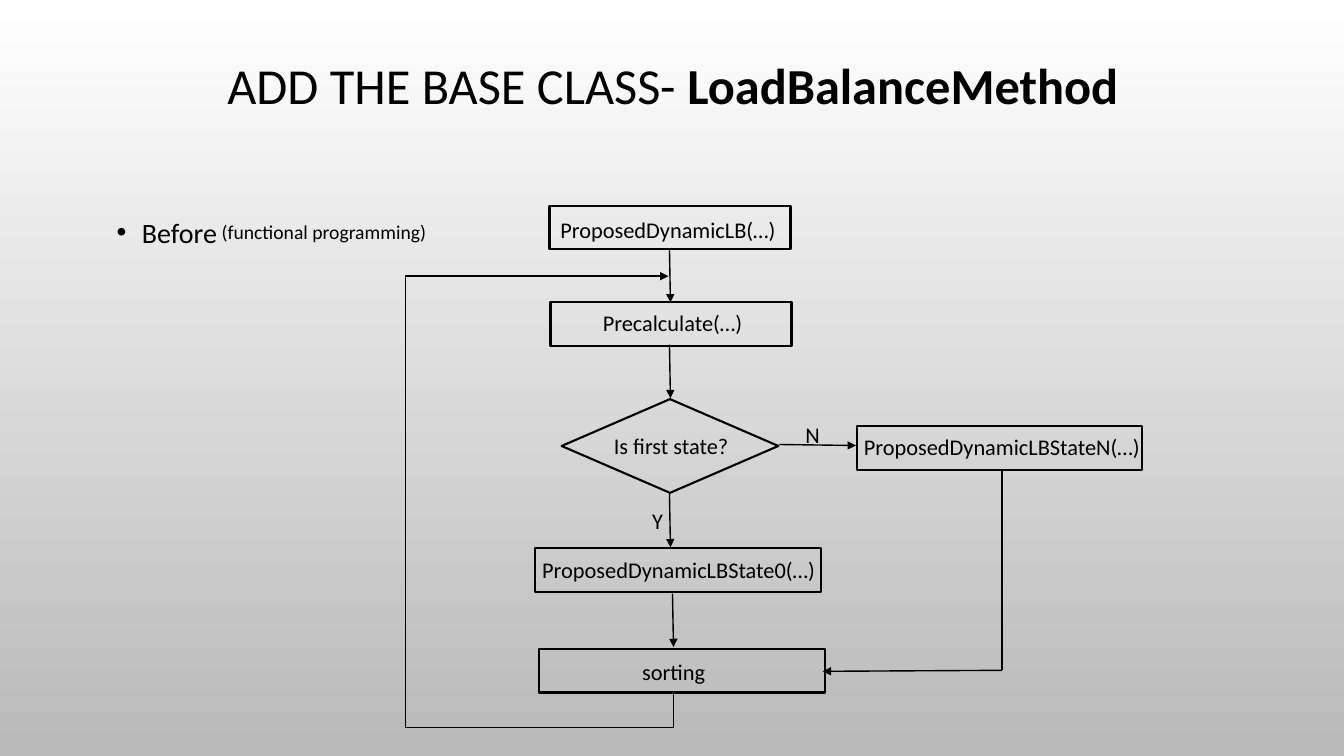
from dataclasses import dataclass

from lxml.etree import SubElement
from pptx import Presentation
from pptx.dml.color import RGBColor
from pptx.enum.shapes import MSO_CONNECTOR, MSO_SHAPE
from pptx.enum.text import MSO_ANCHOR, MSO_AUTO_SIZE, PP_ALIGN
from pptx.oxml.ns import qn
from pptx.slide import Slide
from pptx.text.text import _Paragraph as Paragraph
from pptx.util import Inches, Pt


@dataclass(frozen=True)
class Theme:
    font: str = "Calibri"
    ink: RGBColor = RGBColor(0x00, 0x00, 0x00)
    top: RGBColor = RGBColor(0xFF, 0xFF, 0xFF)
    bottom: RGBColor = RGBColor(0xB9, 0xB9, 0xB9)
    title_size: float = 36
    body_size: float = 20
    label_size: float = 16
    note_size: float = 14
    outline: float = 1.5
    arrow: float = 1


@dataclass(frozen=True)
class Frame:
    left: float
    top: float
    width: float
    height: float


@dataclass(frozen=True)
class Node:
    frame: Frame
    shape: MSO_SHAPE = MSO_SHAPE.FLOWCHART_PROCESS


@dataclass(frozen=True)
class Label:
    text: str
    frame: Frame
    size: float


@dataclass(frozen=True)
class Link:
    start: tuple[float, float]
    end: tuple[float, float]
    arrow: bool = True


THEME = Theme()
BOX_HEIGHT = 0.43
LABEL_HEIGHT = 0.37
NARROW, WIDE = 2.39, 2.83
STEP = 0.53
LOOP_LEFT, LOOP_TOP, LOOP_BOTTOM = 4.02, 2.74, 7.22
BRANCH_X, SORT_X = 9.94, 6.68

NODES = [
    Node(Frame(5.45, 2.04, NARROW, BOX_HEIGHT)),
    Node(Frame(5.46, 3, NARROW, BOX_HEIGHT)),
    Node(Frame(5.57, 3.96, 2.15, 0.93), MSO_SHAPE.FLOWCHART_DECISION),
    Node(Frame(5.31, 5.44, WIDE, BOX_HEIGHT)),
    Node(Frame(8.5, 4.23, WIDE, BOX_HEIGHT)),
    Node(Frame(5.35, 6.44, WIDE, BOX_HEIGHT)),
]

LABELS = [
    Label(text, Frame(left, top, width, LABEL_HEIGHT), THEME.label_size)
    for text, left, top, width in [
        ("ProposedDynamicLB(…)", 5.46, 2.1, 2.35),
        ("Precalculate(…)", 5.88, 3.02, 1.81),
        ("Is first state?", 5.99, 4.24, 1.36),
        ("Y", 6.37, 4.98, 0.26),
        ("N", 7.89, 4.13, 0.26),
        ("ProposedDynamicLBState0(…)", 5.28, 5.47, 2.94),
        ("ProposedDynamicLBStateN(…)", 8.47, 4.25, 2.94),
        ("sorting", 6.27, 6.48, 0.92),
    ]
] + [Label("(functional programming)", Frame(2.1, 2.13, 2.63, 0.34), THEME.note_size)]

DOWN_ARROWS = [
    Link((x, y), (x + 0.01, y + STEP))
    for x, y in [(6.64, 2.47), (6.64, 3.42), (6.64, 4.9), (6.67, 5.89)]
]
BRANCH = [
    Link((7.73, 4.41), (8.49, 4.42)),
    Link((BRANCH_X, 4.66), (BRANCH_X, 6.65), arrow=False),
    Link((BRANCH_X, 6.65), (8.16, 6.66)),
]
LOOP = [
    Link((SORT_X, 6.87), (SORT_X, LOOP_BOTTOM), arrow=False),
    Link((LOOP_LEFT, LOOP_BOTTOM), (SORT_X, LOOP_BOTTOM), arrow=False),
    Link((LOOP_LEFT, LOOP_TOP), (LOOP_LEFT, LOOP_BOTTOM), arrow=False),
    Link((LOOP_LEFT, LOOP_TOP), (6.63, LOOP_TOP)),
]


def place(frame: Frame) -> tuple[int, int, int, int]:
    """Return the frame as left, top, width and height for python-pptx."""
    return Inches(frame.left), Inches(frame.top), Inches(frame.width), Inches(frame.height)


def add_span(para: Paragraph, text: str, *, size: float, bold: bool = False) -> None:
    span = para.add_run()
    span.text = text
    span.font.name = THEME.font
    span.font.size = Pt(size)
    span.font.bold = bold
    span.font.color.rgb = THEME.ink


def add_text(
    page: Slide,
    text: str,
    frame: Frame,
    *,
    size: float,
    align: PP_ALIGN = PP_ALIGN.LEFT,
    anchor: MSO_ANCHOR = MSO_ANCHOR.TOP,
    fit: MSO_AUTO_SIZE = MSO_AUTO_SIZE.NONE,
    line_spacing: float = 1.0,
    space_before: float = 0,
) -> Paragraph:
    """Add a text box and return its paragraph for further spans."""
    body = page.shapes.add_textbox(*place(frame)).text_frame
    body.word_wrap = True
    body.auto_size = fit
    body.vertical_anchor = anchor
    para = body.paragraphs[0]
    para.alignment = align
    para.line_spacing = line_spacing
    para.space_before = Pt(space_before)
    add_span(para, text, size=size)
    return para


def add_bullet(para: Paragraph, indent: float) -> None:
    properties = para._p.get_or_add_pPr()
    properties.set("marL", str(Inches(indent)))
    properties.set("indent", str(-Inches(indent)))
    SubElement(properties, qn("a:buFont"), typeface="Arial")
    SubElement(properties, qn("a:buChar"), char="•")


def add_node(page: Slide, node: Node) -> None:
    box = page.shapes.add_shape(node.shape, *place(node.frame))
    box.shadow.inherit = False
    box.fill.background()
    box.line.color.rgb = THEME.ink
    box.line.width = Pt(THEME.outline)


def add_link(page: Slide, link: Link) -> None:
    points = [Inches(value) for value in (*link.start, *link.end)]
    connector = page.shapes.add_connector(MSO_CONNECTOR.STRAIGHT, *points)
    connector.line.color.rgb = THEME.ink
    connector.line.width = Pt(THEME.arrow)
    if link.arrow:
        SubElement(connector.line._get_or_add_ln(), qn("a:tailEnd"), type="triangle")
    SubElement(connector._element.spPr, qn("a:effectLst"))


def paint_background(page: Slide) -> None:
    fill = page.background.fill
    fill.gradient()
    fill.gradient_angle = 270
    for stop, color in zip(fill.gradient_stops, (THEME.top, THEME.bottom)):
        stop.color.rgb = color


def main() -> None:
    deck = Presentation()
    deck.slide_width, deck.slide_height = Inches(13.33), Inches(7.5)
    page = deck.slides.add_slide(deck.slide_layouts[6])
    paint_background(page)

    title = add_text(page, "ADD THE BASE CLASS- ", Frame(1.01, 0, 11.33, 1.75),
                     size=THEME.title_size, align=PP_ALIGN.CENTER,
                     anchor=MSO_ANCHOR.MIDDLE, line_spacing=0.9)
    add_span(title, "LoadBalanceMethod", size=THEME.title_size, bold=True)
    before = add_text(page, "Before", Frame(1.06, 2.02, 11.33, 3.74),
                      size=THEME.body_size, line_spacing=1.2, space_before=10)
    add_bullet(before, 0.25)

    for node in NODES:
        add_node(page, node)
    for label in LABELS:
        add_text(page, label.text, label.frame, size=label.size,
                 fit=MSO_AUTO_SIZE.SHAPE_TO_FIT_TEXT)
    for link in DOWN_ARROWS + BRANCH + LOOP:
        add_link(page, link)
    deck.save("out.pptx")


if __name__ == "__main__":
    main()
